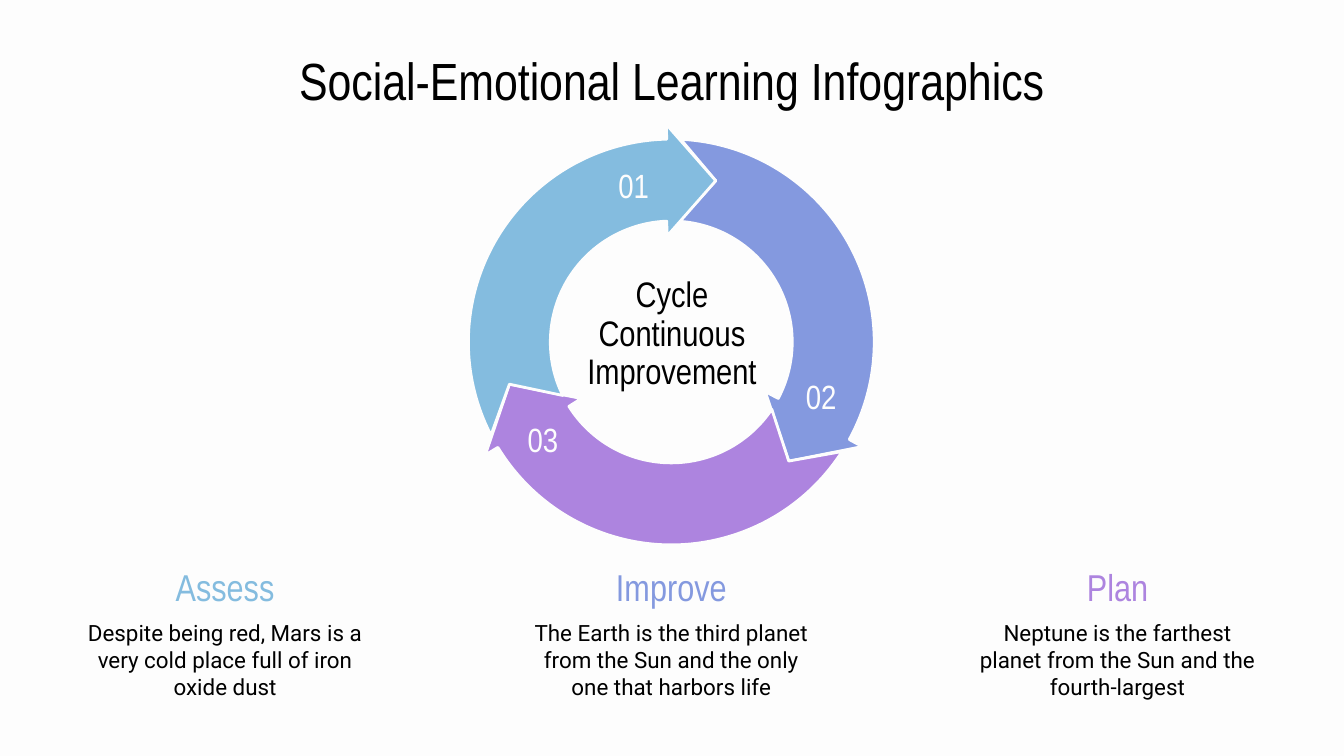
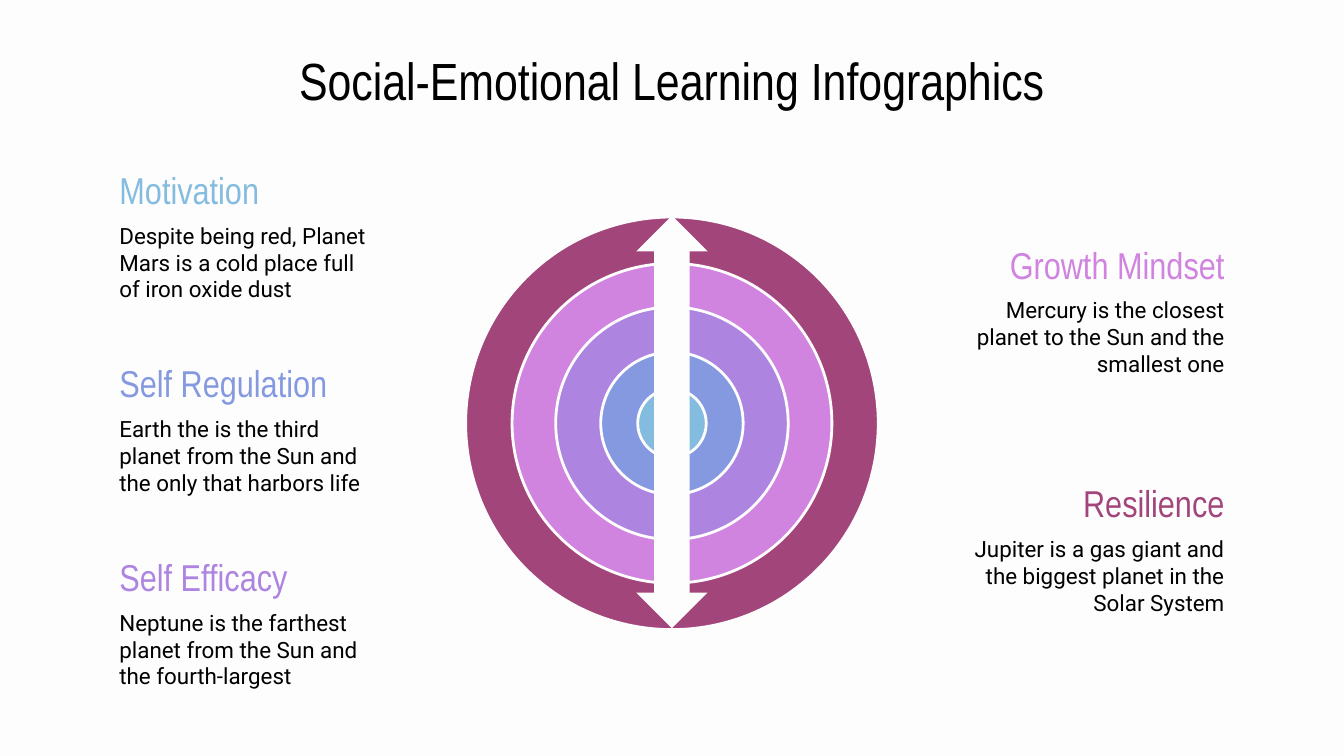
from math import atan, cos, hypot, radians, sin, tan

from lxml import etree
from pptx import Presentation
from pptx.dml.color import RGBColor
from pptx.enum.shapes import MSO_SHAPE
from pptx.enum.text import MSO_ANCHOR, PP_ALIGN
from pptx.oxml.ns import qn
from pptx.util import Emu, Pt

PX = 4572  # 200 px to the inch

PAPER = RGBColor(0xFD, 0xFD, 0xFD)
INK = RGBColor(0x00, 0x00, 0x00)
SKY = RGBColor(0x84, 0xBC, 0xDF)
BLUE = RGBColor(0x84, 0x99, 0xDF)
VIOLET = RGBColor(0xAD, 0x84, 0xDF)
PINK = RGBColor(0xD0, 0x84, 0xDF)
PLUM = RGBColor(0xA2, 0x45, 0x7B)

HEADING_FONT = "Arial Narrow"
BODY_FONT = "Roboto"
LEFT, CENTER, RIGHT = PP_ALIGN.LEFT, PP_ALIGN.CENTER, PP_ALIGN.RIGHT


def write(slide, text, box, size, font=HEADING_FONT, color=INK, align=CENTER,
          anchor=MSO_ANCHOR.MIDDLE, spacing=None, oval=False):
    """Add text at box (left, top, width, height in px), one paragraph per line."""
    place = [Emu(side * PX) for side in box]
    if oval:
        holder = slide.shapes.add_shape(MSO_SHAPE.OVAL, *place)
        holder.shadow.inherit = False
        holder.fill.background()
        holder.line.fill.background()
    else:
        holder = slide.shapes.add_textbox(*place)
    frame = holder.text_frame
    frame.word_wrap = True
    frame.vertical_anchor = anchor
    frame.margin_left = frame.margin_right = Emu(20 * PX)
    frame.margin_top = frame.margin_bottom = Emu(20 * PX)
    frame.text = text
    for paragraph in frame.paragraphs:
        paragraph.alignment = align
        paragraph.line_spacing = spacing
        run_font = paragraph.runs[0].font
        run_font.name = font
        run_font.size = Pt(size)
        run_font.color.rgb = color


def paint(shape, fill, outlined=True):
    shape.shadow.inherit = False
    shape.fill.solid()
    shape.fill.fore_color.rgb = fill
    if outlined:
        shape.line.color.rgb = PAPER
        shape.line.width = Pt(1.5)
    else:
        shape.line.fill.background()


deck = Presentation()
deck.slide_width = Emu(2000 * PX)
deck.slide_height = Emu(1125 * PX)

cycle, rings = [deck.slides.add_slide(deck.slide_layouts[6]) for _ in range(2)]
for slide in (cycle, rings):
    slide.background.fill.solid()
    slide.background.fill.fore_color.rgb = PAPER
    write(slide, "Social-Emotional Learning Infographics", (98, 90, 1802, 58), 28)

# Headings with a short text below
TOPIC_GAP = 75
columns = [100 + 664 * i for i in range(3)]
rows = [235 + 288 * i for i in range(3)]
topics = [
    (cycle, "Assess", "Despite being red, Mars is a very cold place full of iron oxide dust",
     SKY, CENTER, columns[0], 826),
    (cycle, "Improve", "The Earth is the third planet from the Sun and the only one that harbors life",
     BLUE, CENTER, columns[1], 826),
    (cycle, "Plan", "Neptune is the farthest planet from the Sun and the fourth-largest",
     VIOLET, CENTER, columns[2], 826),
    (rings, "Motivation", "Despite being red, Planet Mars is a cold place full of iron oxide dust",
     SKY, LEFT, 158, rows[0]),
    (rings, "Self Regulation", "Earth the is the third planet from the Sun and the only that harbors life",
     BLUE, LEFT, 158, rows[1]),
    (rings, "Self Efficacy", "Neptune is the farthest planet from the Sun and the fourth-largest",
     VIOLET, LEFT, 158, rows[2]),
    (rings, "Resilience", "Jupiter is a gas giant and the biggest planet in the Solar System",
     PLUM, RIGHT, 1400, 701),
    (rings, "Growth Mindset", "Mercury is the closest planet to the Sun and the smallest one",
     PINK, RIGHT, 1400, 346),
]
for slide, heading, body, color, align, left, top in topics:
    heading_width, body_width = (470, 470) if slide is cycle else (442, 412)
    body_left = left + heading_width - body_width if align == RIGHT else left
    write(slide, heading, (left, top, heading_width, 94), 20, color=color, align=align)
    write(slide, body, (body_left, top + TOPIC_GAP, body_width, 136), 12,
          font=BODY_FONT, align=align, anchor=MSO_ANCHOR.TOP)

# Cycle wheel: one arrow outline in (radius, degrees clockwise from the top), turned by thirds
WHEEL_X, WHEEL_Y = 999, 509
OUTER, INNER = 302, 180
THIRD = 120
TIP_RADIUS, TIP_ANGLE = 249, 15.4
arrow_outline = [
    *((OUTER, angle) for angle in (-117.3, -90, -60, -30, -1.3)),
    (324, -1.3),
    (TIP_RADIUS, TIP_ANGLE),
    (158, -2.2),
    *((INNER, angle) for angle in (-2.2, -30, -60, -90, -116.2)),
    (TIP_RADIUS, TIP_ANGLE - THIRD),
]
steps = [("02", BLUE, THIRD), ("03", VIOLET, 2 * THIRD), ("01", SKY, 0)]
write(cycle, "Cycle\nContinuous\nImprovement", (769, 266, 462, 464), 19,
      spacing=0.9, oval=True)
for number, color, turn in steps:
    points = [
        ((WHEEL_X + radius * sin(radians(angle + turn))) * PX,
         (WHEEL_Y - radius * cos(radians(angle + turn))) * PX)
        for radius, angle in arrow_outline
    ]
    builder = cycle.shapes.build_freeform(*points[0])
    builder.add_line_segments(points[1:], close=True)
    arrow = builder.convert_to_shape()
    paint(arrow, color)

    # Bend the edges whose two ends share a radius into Bezier arcs
    edges = list(arrow._element.iter(qn("a:lnTo")))
    for edge, (radius, start), (end_radius, end) in zip(edges, arrow_outline, arrow_outline[1:]):
        if radius != end_radius:
            continue
        handle = 4 / 3 * tan(radians(end - start) / 4)
        reach = radius * hypot(1, handle)
        for control in (radians(start + turn) + atan(handle), radians(end + turn) - atan(handle)):
            point = etree.Element(qn("a:pt"))
            point.set("x", str(round((WHEEL_X + reach * sin(control)) * PX - arrow.left)))
            point.set("y", str(round((WHEEL_Y - reach * cos(control)) * PX - arrow.top)))
            edge.insert(len(edge) - 1, point)
        curve = etree.Element(qn("a:cubicBezTo"))
        curve.extend(list(edge))
        edge.getparent().replace(edge, curve)

for number, left, top in [("03", 761, 628), ("01", 896, 249), ("02", 1175, 564)]:
    write(cycle, number, (left, top, 94, 52), 18, color=PAPER)

# Concentric rings, crossed by a double arrow
RINGS_X, RINGS_Y = 1000, 630
for diameter, color in [(614, PLUM), (476, PINK), (346, VIOLET), (212, BLUE), (102, SKY)]:
    ring = rings.shapes.add_shape(
        MSO_SHAPE.OVAL,
        Emu((RINGS_X - diameter // 2) * PX), Emu((RINGS_Y - diameter // 2) * PX),
        Emu(diameter * PX), Emu(diameter * PX))
    paint(ring, color)

axis = rings.shapes.add_shape(
    MSO_SHAPE.UP_DOWN_ARROW, Emu(947 * PX), Emu(321 * PX), Emu(106 * PX), Emu(614 * PX))
axis.adjustments[0] = 0.5
axis.adjustments[1] = 0.5
paint(axis, PAPER, outlined=False)

deck.save("out.pptx")
